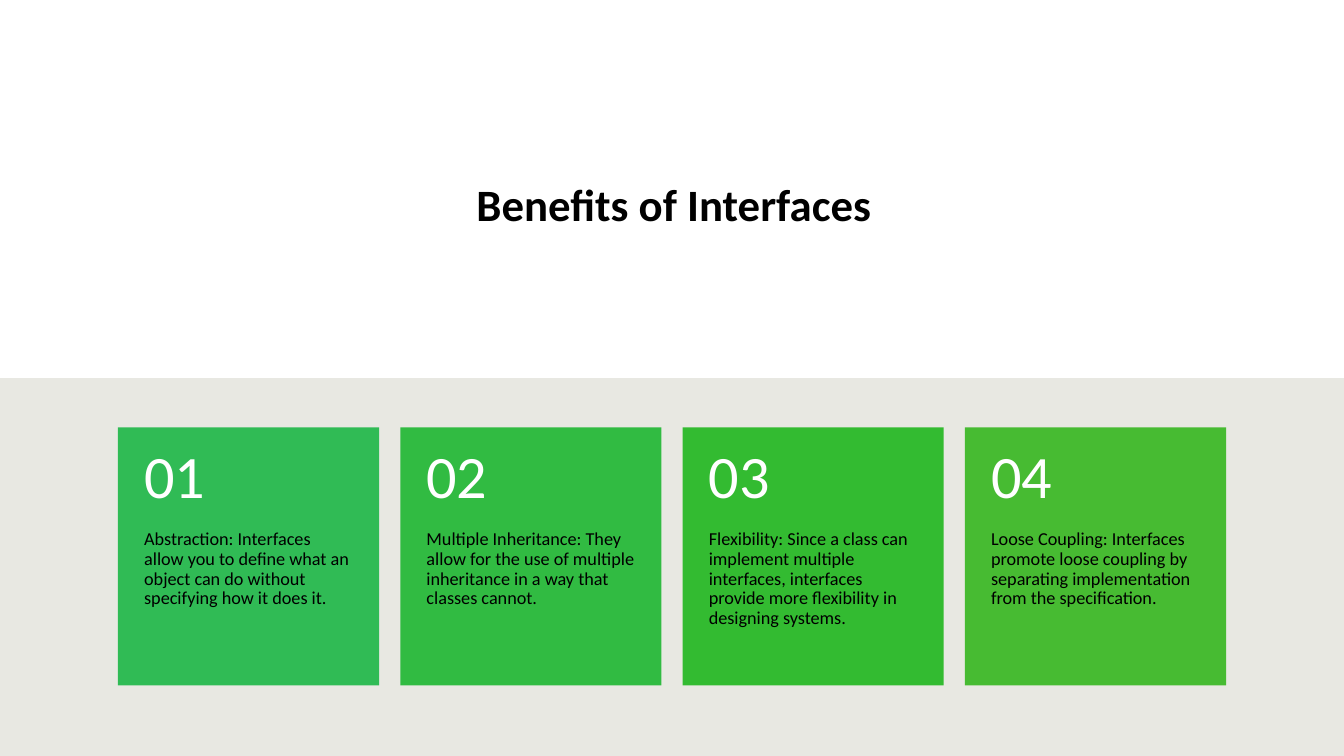
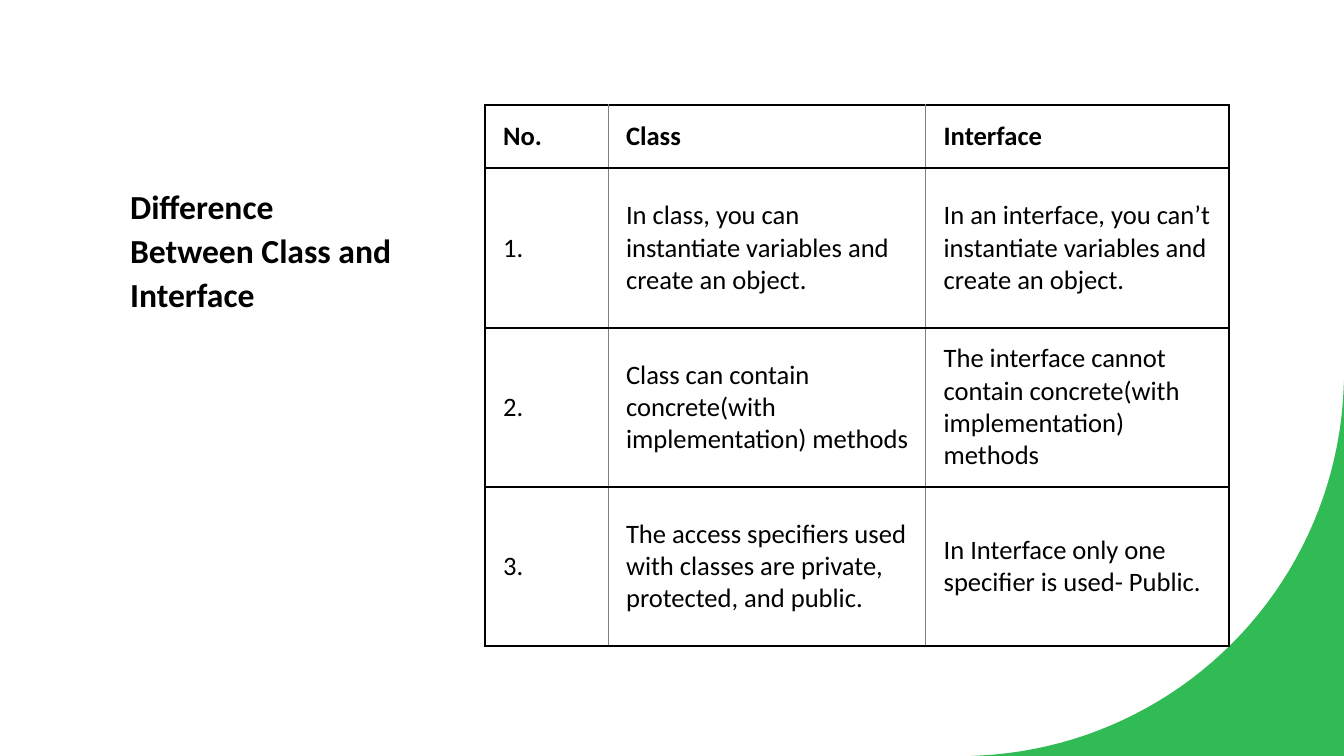
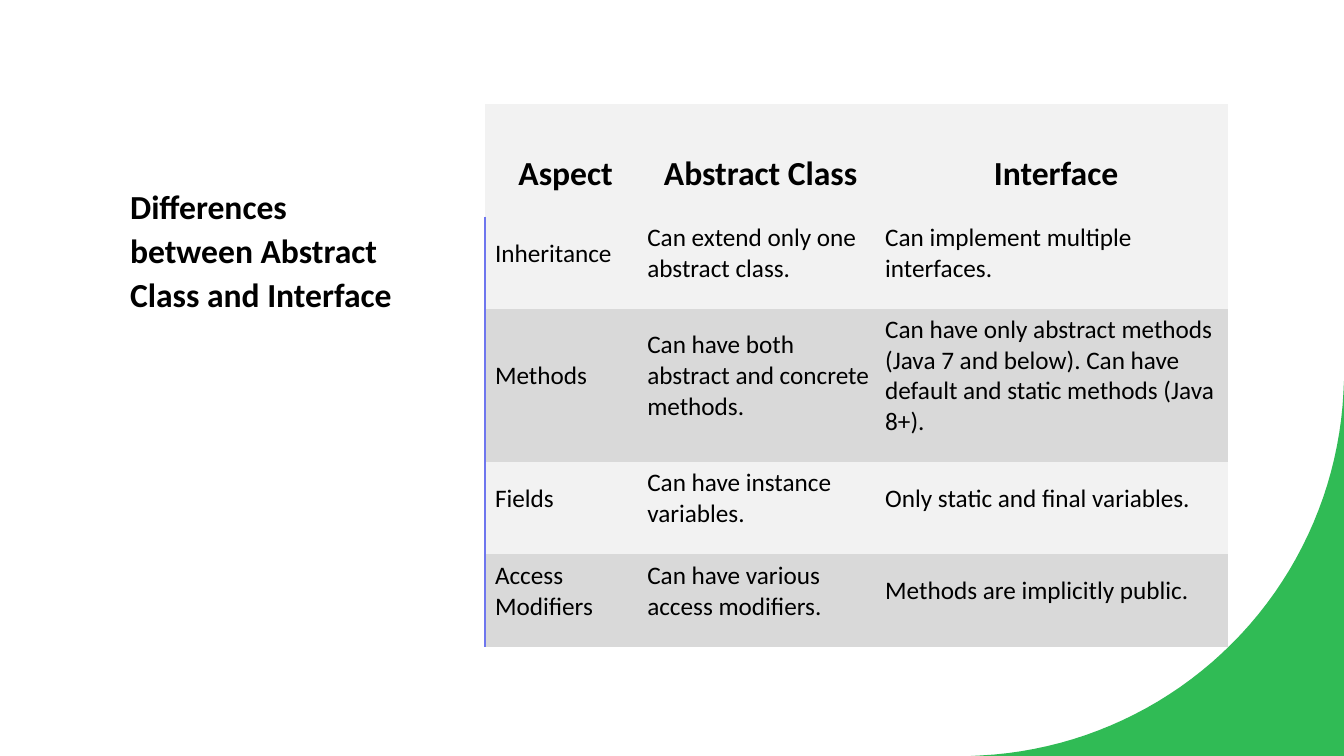
from math import cos, radians, sin

from lxml.etree import SubElement
from pptx import Presentation
from pptx.dml.color import RGBColor
from pptx.enum.shapes import MSO_SHAPE
from pptx.enum.text import MSO_ANCHOR, MSO_AUTO_SIZE, PP_ALIGN
from pptx.oxml.ns import qn
from pptx.util import Inches, Pt

FONT = "Calibri"
WIDTH, HEIGHT = 13.33, 7.5
BLACK, WHITE, GRAY = "000000", "FFFFFF", "808080"
GREEN, BAND = "30BB55", "E8E8E2"
LIGHT_ROW, DARK_ROW, ACCENT = "F2F2F2", "D9D9D9", "6E76EE"


def rgb(value):
    return RGBColor.from_string(value)


def set_margins(target, margins):
    """Set left, top, right and bottom margins of a text frame or a cell."""
    (target.margin_left, target.margin_top,
     target.margin_right, target.margin_bottom) = map(Inches, margins)


def border(cell, sides):
    """Draw the sides given as {side: (colour, points)} and hide the others."""
    properties = cell._tc.get_or_add_tcPr()
    for side in "LRTB":
        color, points = sides.get(side, (None, 0))
        line = SubElement(properties, qn(f"a:ln{side}"), w=str(Pt(points)))
        if color:
            fill = SubElement(line, qn("a:solidFill"))
            SubElement(fill, qn("a:srgbClr"), val=color)
        else:
            SubElement(line, qn("a:noFill"))


class Slides:
    def __init__(self):
        self.deck = Presentation()
        self.deck.slide_width = Inches(WIDTH)
        self.deck.slide_height = Inches(HEIGHT)
        self.page = None

    def add_page(self, title, place, size=24, align=PP_ALIGN.LEFT, anchor=MSO_ANCHOR.TOP):
        self.page = self.deck.slides.add_slide(self.deck.slide_layouts[5])
        box = self.page.shapes.title
        box.left, box.top, box.width, box.height = map(Inches, place)
        frame = box.text_frame
        frame.word_wrap = True
        frame.auto_size = MSO_AUTO_SIZE.NONE
        frame.vertical_anchor = anchor
        self.add_span(frame, title, size, bold=True, align=align, spacing=1.1)

    def add_span(self, frame, text, size, color=BLACK, bold=False, align=PP_ALIGN.LEFT,
                 spacing=1.0):
        para = frame.paragraphs[0]
        para.alignment = align
        para.line_spacing = spacing
        span = para.add_run()
        span.text = text
        span.font.name = FONT
        span.font.size = Pt(size)
        span.font.bold = bold
        span.font.color.rgb = rgb(color)

    def paint(self, shape, color):
        shape.shadow.inherit = False
        shape.fill.solid()
        shape.fill.fore_color.rgb = rgb(color)
        shape.line.fill.background()

    def rectangle(self, place, color):
        shape = self.page.shapes.add_shape(MSO_SHAPE.RECTANGLE, *map(Inches, place))
        self.paint(shape, color)

    def text(self, place, margins, text, size, anchor=MSO_ANCHOR.TOP, **style):
        frame = self.page.shapes.add_textbox(*map(Inches, place)).text_frame
        frame.word_wrap = True
        frame.vertical_anchor = anchor
        set_margins(frame, margins)
        self.add_span(frame, text, size, **style)

    def card(self, left, number, text, color):
        top, width, head, body = 4.24, 2.59, 1.02, 1.54
        self.rectangle((left, top, width, head + body), color)
        self.text((left, top + head, width, body), (0.26, 0, 0.26, 0.36), text, 13, spacing=0.9)
        self.text((left, top, width, head), (0.26, 0.18, 0.26, 0.18), f"{number:02}", 43,
                  color=WHITE, anchor=MSO_ANCHOR.MIDDLE, spacing=0.9)

    def corner(self):
        """Fill the bottom right corner outside a quarter circle."""
        center_x, center_y, radius = 9.53, 3.7, 3.8
        arc = [(Inches(center_x + radius * cos(radians(angle))),
                Inches(center_y + radius * sin(radians(angle)))) for angle in range(3, 88, 2)]
        builder = self.page.shapes.build_freeform(Inches(WIDTH), Inches(HEIGHT), 1)
        builder.add_line_segments([(Inches(WIDTH), Inches(3.78)), *arc,
                                   (Inches(9.63), Inches(HEIGHT))])
        self.paint(builder.convert_to_shape(), GREEN)

    def table(self, top, columns, heights, rows, margins, style_cell):
        """Fill a table; style_cell(cell, row, column) draws a cell and returns its text style."""
        frame = self.page.shapes.add_table(len(rows), len(columns), Inches(4.81), Inches(top),
                                           Inches(sum(columns)), Inches(sum(heights)))
        table = frame.table
        table.first_row = table.horz_banding = False
        for column, width in zip(table.columns, columns):
            column.width = Inches(width)
        for row_index, (row, height, texts) in enumerate(zip(table.rows, heights, rows)):
            row.height = Inches(height)
            for column_index, (cell, text) in enumerate(zip(row.cells, texts)):
                set_margins(cell, margins)
                cell.vertical_anchor = MSO_ANCHOR.MIDDLE
                style = style_cell(cell, row_index, column_index)
                self.add_span(cell.text_frame, text, bold=row_index == 0, **style)


def ruled_cell(cell, row, column):
    thick, thin = (BLACK, 1.5), (GRAY, 0.5)
    border(cell, {"L": thin if column else thick, "R": thick if column == 2 else thin,
                  "T": thick, "B": thick})
    cell.fill.background()
    return {"size": 19}


def striped_cell(cell, row, column):
    border(cell, {"L": (ACCENT, 1)} if row and not column else {})
    cell.fill.solid()
    cell.fill.fore_color.rgb = rgb(DARK_ROW if row and row % 2 == 0 else LIGHT_ROW)
    if row == 0:
        cell.vertical_anchor = MSO_ANCHOR.BOTTOM
        return {"size": 24, "align": PP_ALIGN.CENTER}
    return {"size": 18}


BENEFITS = [
    ("Abstraction: Interfaces allow you to define what an object can do without "
     "specifying how it does it.", GREEN),
    ("Multiple Inheritance: They allow for the use of multiple inheritance in a way that "
     "classes cannot.", "31BB42"),
    ("Flexibility: Since a class can implement multiple interfaces, interfaces provide more "
     "flexibility in designing systems.", "33BB31"),
    ("Loose Coupling: Interfaces promote loose coupling by separating implementation from "
     "the specification.", "47BB32"),
]
CLASS_ROWS = [
    ("No.", "Class", "Interface"),
    ("1.", "In class, you can instantiate variables and create an object.",
     "In an interface, you can’t instantiate variables and create an object."),
    ("2.", "Class can contain concrete(with implementation) methods",
     "The interface cannot contain concrete(with implementation) methods"),
    ("3.", "The access specifiers used with classes are private, protected, and public.",
     "In Interface only one specifier is used- Public."),
]
ABSTRACT_ROWS = [
    ("Aspect", "Abstract Class", "Interface"),
    ("Inheritance", "Can extend only one abstract class.", "Can implement multiple interfaces."),
    ("Methods", "Can have both abstract and concrete methods.",
     "Can have only abstract methods (Java 7 and below). Can have default and static methods "
     "(Java 8+)."),
    ("Fields", "Can have instance variables.", "Only static and final variables."),
    ("Access Modifiers", "Can have various access modifiers.", "Methods are implicitly public."),
]
SIDE_TITLE = (1.19, 1.75, 2.88, 3.46)


def main():
    slides = Slides()

    slides.add_page("Benefits of Interfaces", (2.53, 1.06, 8.31, 1.87), size=32,
                    align=PP_ALIGN.CENTER, anchor=MSO_ANCHOR.MIDDLE)
    slides.rectangle((0, HEIGHT / 2, WIDTH, HEIGHT / 2), BAND)
    for index, (text, color) in enumerate(BENEFITS):
        slides.card(1.17 + 2.8 * index, index + 1, text, color)

    slides.add_page("Difference Between Class and Interface", SIDE_TITLE)
    slides.corner()
    slides.table(1.04, (1.22, 3.15, 3.01), (0.63, 1.58, 1.58, 1.58), CLASS_ROWS,
                 (0.18, 0.14, 0.14, 0.14), ruled_cell)

    slides.add_page("Differences between Abstract Class and Interface", SIDE_TITLE)
    slides.corner()
    slides.table(1.03, (1.51, 2.36, 3.5), (1.12, 0.92, 1.51, 0.92, 0.92), ABSTRACT_ROWS,
                 (0.1, 0.03, 0.01, 0.22), striped_cell)

    slides.deck.save("out.pptx")


if __name__ == "__main__":
    main()
